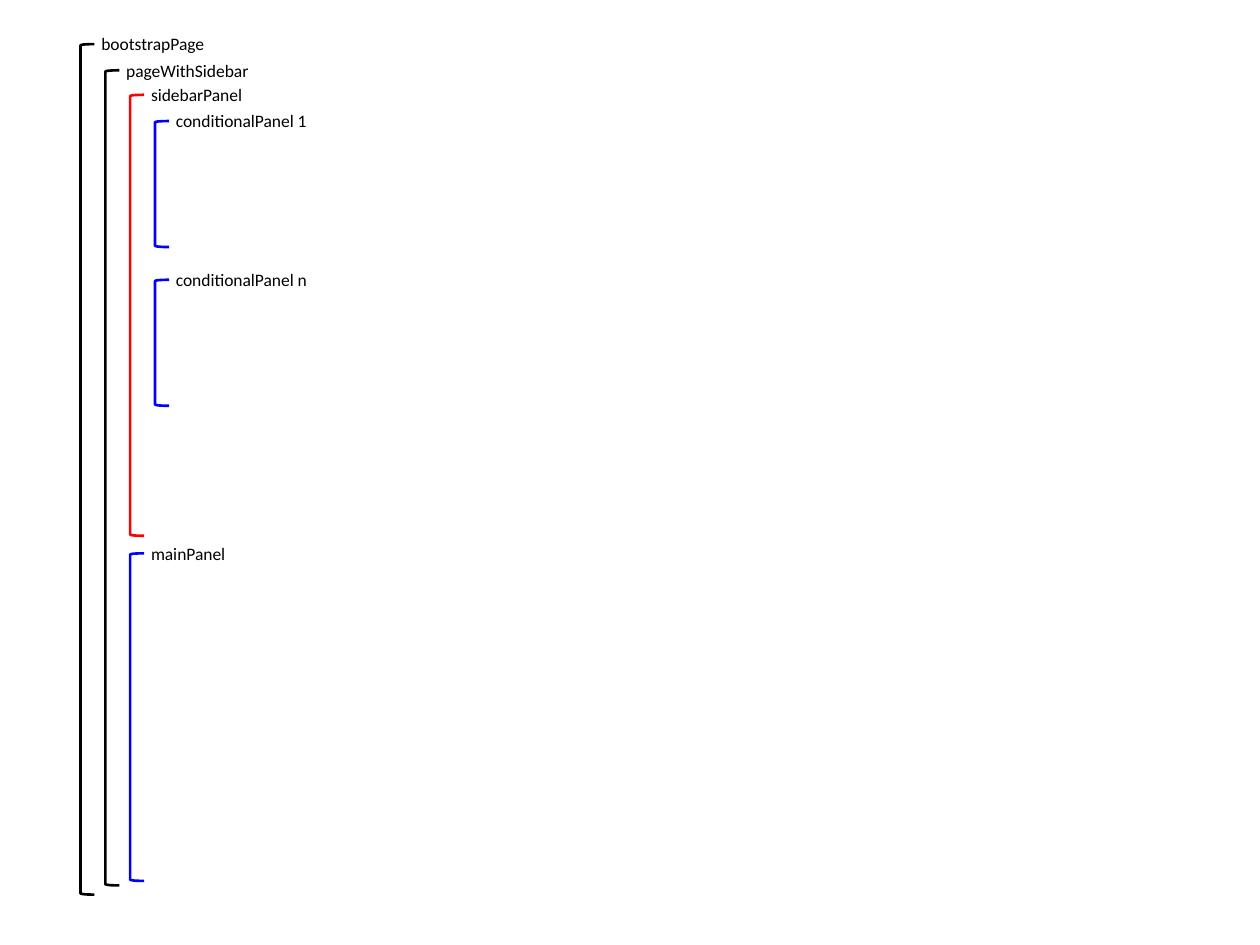
from pptx import Presentation, util as u
from pptx.dml.color import RGBColor
from pptx.enum import shapes, text

Pt = u.Pt

# Panels: name, nesting depth, top, height, colour
PANELS = [
    ("bootstrapPage", 0, 25.2, 486, "000000"),
    ("pageWithSidebar", 1, 40.2, 465.8, "000000"),
    ("sidebarPanel", 2, 54.2, 252, "FF0000"),
    ("conditionalPanel 1", 3, 69.2, 72, "0000FF"),
    ("mainPanel", 2, 316.2, 187.2, "0000FF"),
    ("conditionalPanel n", 3, 159.9, 72, "0000FF"),
]
LEFT, STEP = 46, 14.2      # first bracket, indent per depth
WIDE = 8                   # bracket width
GAP, RISE = 4.8, 9.6       # label offset from its bracket


def paint(code):
    return RGBColor.from_string(code)


def label(words, x, y, w=131, h=19.4, size=10, font="Calibri", hue="000000"):
    box = slide.shapes.add_textbox(Pt(x), Pt(y), Pt(w), Pt(h))
    frame = box.text_frame
    frame.word_wrap = True
    frame.auto_size = text.MSO_AUTO_SIZE.SHAPE_TO_FIT_TEXT
    run = frame.paragraphs[0].add_run()
    run.text = words
    run.font.size, run.font.name = Pt(size), font
    run.font.color.rgb = paint(hue)


def bracket(x, y, h, hue):
    mark = slide.shapes.add_shape(
        shapes.MSO_SHAPE.LEFT_BRACKET, Pt(x), Pt(y), Pt(WIDE), Pt(h))
    mark.shadow.inherit = False
    mark.fill.background()
    mark.line.color.rgb = paint(hue)
    mark.line.width = Pt(1.5)


deck = Presentation()
deck.slide_width, deck.slide_height = Pt(720), Pt(540)
slide = deck.slides.add_slide(deck.slide_layouts[6])

# Nested brackets, each with its label
for name, depth, top, tall, hue in PANELS:
    x = LEFT + depth * STEP
    bracket(x, top, tall, hue)
    label(name, x + GAP, top - RISE)

deck.save("out.pptx")
